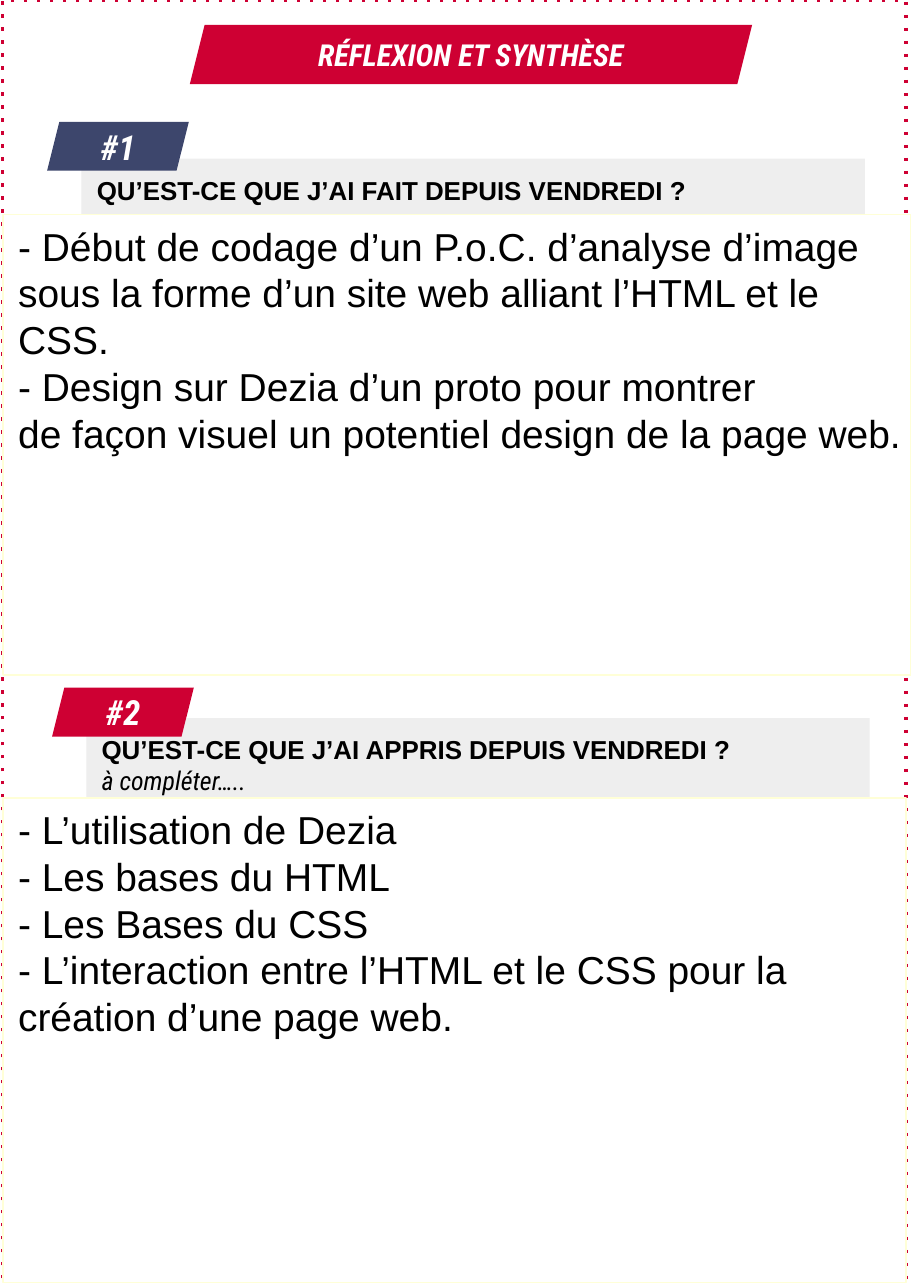
import pptx
import pptx.util
import pptx.dml.color
import pptx.enum.shapes
import pptx.enum.text
import pptx.enum.dml

Pt = pptx.util.Pt
KIND = pptx.enum.shapes.MSO_SHAPE
ALIGN = pptx.enum.text.PP_ALIGN
ANCHOR = pptx.enum.text.MSO_ANCHOR

# Content
TITLE = "RÉFLEXION ET SYNTHÈSE"
PARTS = [
    dict(tag="#1", hue="navy",
         tag_at=(21.8, 56.3), panel=(37.7, 73.4, 362.2, 222.5),
         answer=(1.3, 99.2, 420, 212.8),
         ask="QU’EST-CE QUE J’AI FAIT DEPUIS VENDREDI ?", hint=None,
         notes=["- Début de codage d’un P.o.C. d’analyse d’image\n"
                "sous la forme d’un site web alliant l’HTML et le\n"
                "CSS.\n"
                "- Design sur Dezia d’un proto pour montrer\n"
                "de façon visuel un potentiel design de la page web."]),
    dict(tag="#2", hue="red",
         tag_at=(24.1, 317.9), panel=(39.9, 332, 362.2, 215.3),
         answer=(1.3, 369, 417.6, 223.9),
         ask="QU’EST-CE QUE J’AI APPRIS DEPUIS VENDREDI ?", hint="à compléter…..",
         notes=["- L’utilisation de Dezia\n- Les bases du HTML\n- Les Bases du CSS",
                "- L’interaction entre l’HTML et le CSS pour la\n"
                "création d’une page web."]),
]
COLORS = dict(red="CE0033", navy="3D466C", gray="EEEEEE",
              white="FFFFFF", black="000000", cream="FFFFD7")
HEAD = "Roboto Condensed"
BODY = "Arial"
TAG_SIZE = (65.5, 22.6)

deck = pptx.Presentation()
deck.slide_width, deck.slide_height = Pt(421.2), Pt(595.44)
slide = deck.slides.add_slide(deck.slide_layouts[6])


def color(name):
    return pptx.dml.color.RGBColor.from_string(COLORS[name])


def add_box(kind, area, fill=None, line=None, width=0):
    box = slide.shapes.add_shape(kind, *map(Pt, area))
    box.shadow.inherit = False
    if fill:
        box.fill.solid()
        box.fill.fore_color.rgb = color(fill)
    else:
        box.fill.background()
    if line:
        box.line.color.rgb = color(line)
        box.line.width = Pt(width)
    else:
        box.line.fill.background()
    return box


def write(box, lines, pad=7.2, wrap=True, anchor=ANCHOR.TOP, align=ALIGN.LEFT):
    """Each line is (text, size, font, bold, italic, color)."""
    frame = box.text_frame
    frame.word_wrap = wrap
    frame.vertical_anchor = anchor
    frame.margin_left = frame.margin_right = Pt(7.2)
    frame.margin_top = frame.margin_bottom = Pt(pad)
    for i, (text, size, font, bold, slant, hue) in enumerate(lines):
        para = frame.add_paragraph() if i else frame.paragraphs[0]
        para.text = text
        para.alignment = align
        for run in para.runs:
            run.font.size = Pt(size)
            run.font.name = font
            run.font.bold = bold
            run.font.italic = slant
            run.font.color.rgb = color(hue)


def add_label(area, fill, text, size):
    label = add_box(KIND.PARALLELOGRAM, area, fill)
    label.adjustments[0] = 0.25
    write(label, [(text, size, HEAD, True, True, "white")],
          anchor=ANCHOR.MIDDLE, align=ALIGN.CENTER)


# Dotted page border
border = add_box(KIND.RECTANGLE, (1.3, 0, 417.6, 592.6), line="red", width=1.5)
border.line.dash_style = pptx.enum.dml.MSO_LINE.ROUND_DOT
for dash in border.line._ln.iter(pptx.oxml.ns.qn("a:prstDash")):
    dash.set("val", "dot")

# Title banner
add_label((87.8, 11.5, 260, 27.4), "red", TITLE, 14)

# Question panels with their tags
for part in PARTS:
    lines = [(part["ask"], 12, BODY, True, False, "black")]
    if part["hint"]:
        lines.append((part["hint"], 12, HEAD, False, True, "black"))
    write(add_box(KIND.RECTANGLE, part["panel"], "gray"), lines)
    add_label(part["tag_at"] + TAG_SIZE, part["hue"], part["tag"], 16)

# Answers, laid over the lower part of each panel
for part in PARTS:
    answer = add_box(KIND.RECTANGLE, part["answer"], "white", "cream")
    write(answer, [(note, 18, BODY, False, False, "black") for note in part["notes"]],
          pad=3.6, wrap=False)

deck.save("out.pptx")
